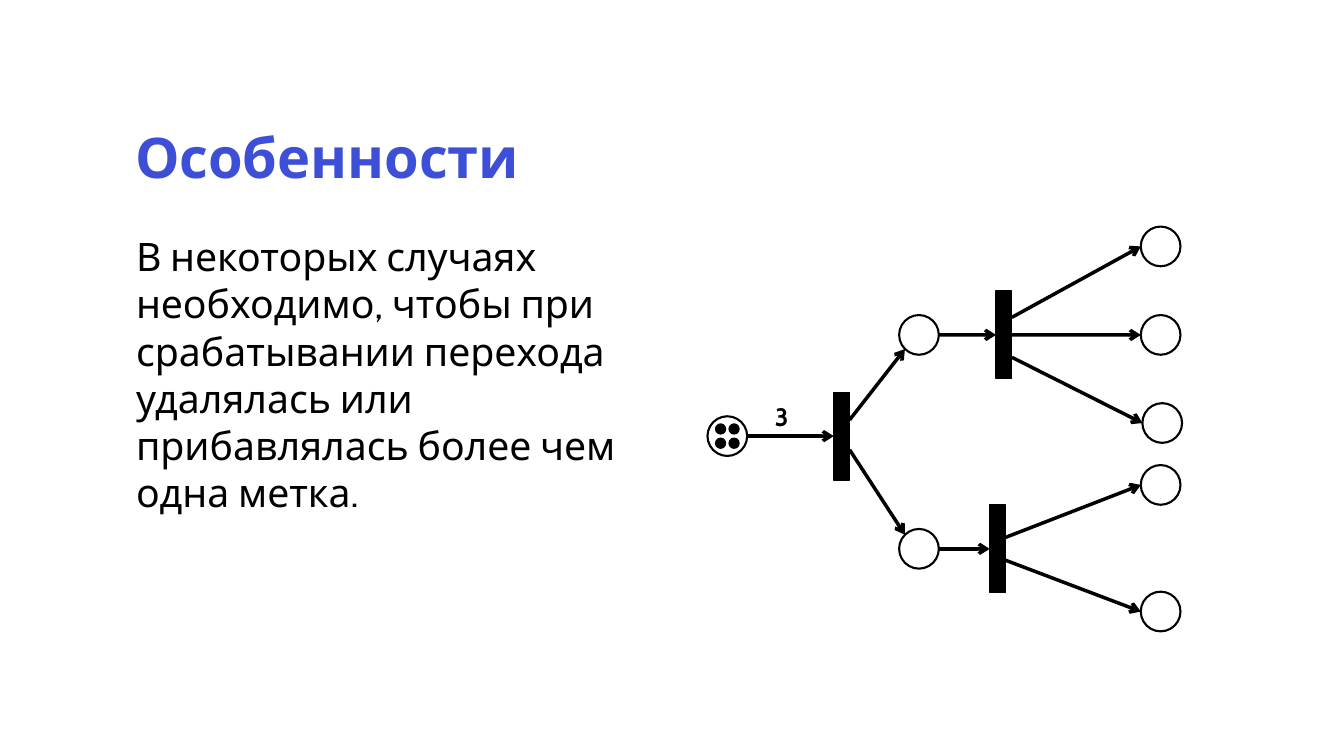
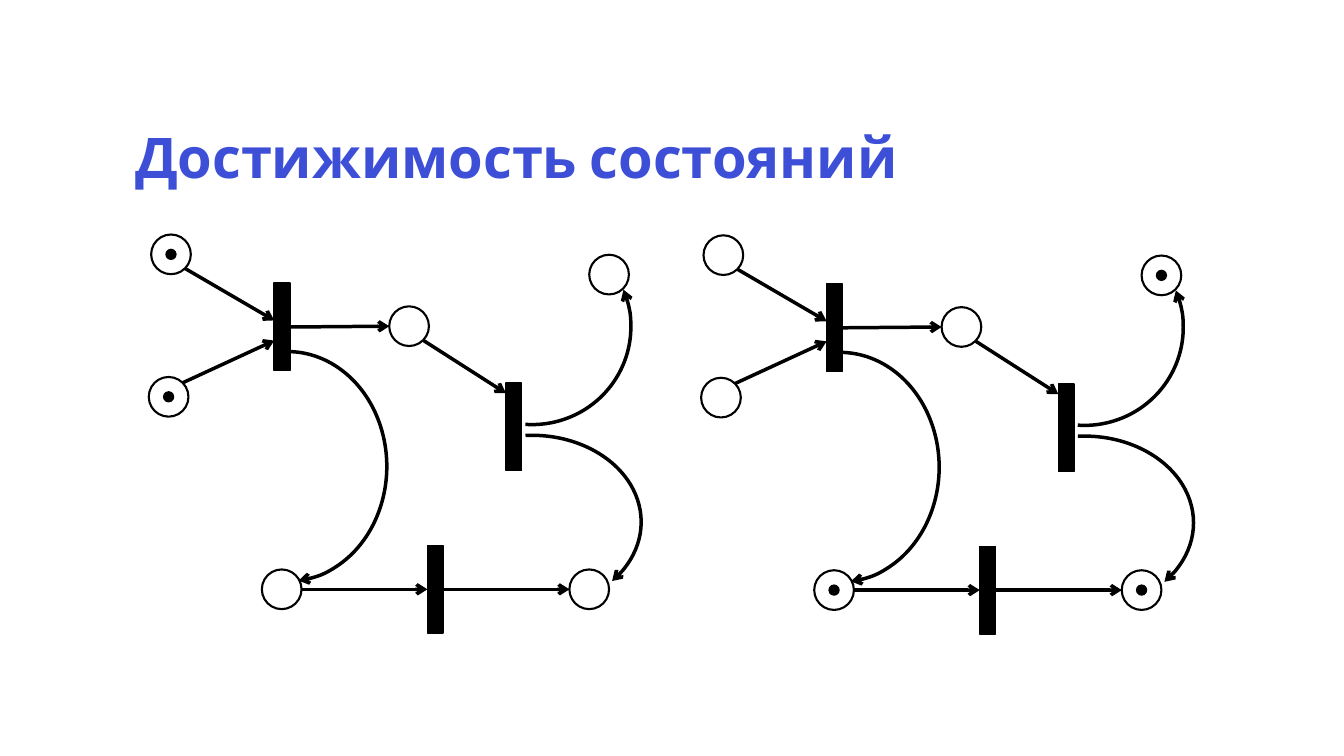
from dataclasses import dataclass

from lxml.etree import SubElement
from pptx import Presentation
from pptx.dml.color import RGBColor
from pptx.enum.shapes import MSO_CONNECTOR, MSO_SHAPE
from pptx.enum.text import MSO_ANCHOR, MSO_AUTO_SIZE, PP_ALIGN
from pptx.oxml.ns import qn
from pptx.util import Cm, Pt

E, W = (1, 0), (-1, 0)
NE, SE, SW, NW = (0.71, -0.71), (0.71, 0.71), (-0.71, 0.71), (-0.71, -0.71)

TREE = {
    "nodes": {
        "root": (18.33, 10.99), "up": (23.16, 8.44), "low": (23.16, 13.83),
        "o1": (29.25, 6.21), "o2": (29.25, 8.44), "o3": (29.29, 10.66),
        "o4": (29.25, 12.22), "o5": (29.25, 15.41),
    },
    "bars": {"a": (21.21, 10.99), "b": (25.3, 8.44), "c": (25.14, 13.83)},
    "links": [
        ("root", E, "a", W), ("a", (1, -0.37), "up", SW), ("a", (1, 0.31), "low", NW),
        ("up", E, "b", W), ("low", E, "c", W),
        ("b", (1, -0.4), "o1", W), ("b", E, "o2", W), ("b", (1, 0.51), "o3", W),
        ("c", (1, -0.26), "o4", W), ("c", (1, 0.26), "o5", W),
    ],
    "arcs": [],
}

NET = {
    "nodes": {
        "top": (4.31, 6.41), "bot": (4.25, 10.0), "mid": (10.31, 8.22),
        "up": (15.35, 6.92), "low": (7.1, 14.85), "end": (14.85, 14.85),
    },
    "bars": {"a": (7.11, 8.24), "b": (12.95, 10.76), "c": (10.97, 14.85)},
    "links": [
        ("top", SE, "a", (-1, -0.15)), ("bot", NE, "a", (-1, 0.31)),
        ("a", E, "mid", W), ("mid", SE, "b", (-1, -0.77)),
        ("low", E, "c", W), ("c", E, "end", W),
    ],
    "arcs": [
        ((4.75, 8.86, 5.0, 5.79), (162, 50.71), "tail"),
        ((10.67, 10.97, 5.49, 4.37), (159.32, 21.87), "tail"),
        ((10.92, 5.77, 4.98, 4.93), (202.75, 56.35), "head"),
    ],
}

ONE = [(0, 0)]
FOUR = [(x, y) for y in (-0.18, 0.18) for x in (-0.17, 0.17)]

SLIDES = [
    {
        "title": "Особенности",
        "notes": [
            ("В некоторых случаях необходимо, чтобы при срабатывании перехода "
             "удалялась или прибавлялась более чем одна метка.",
             (3.18, 5.74, 13.77, 6.25), "body", True),
            ("3", (19.28, 9.98, 0.89, 1.02), "label", False),
        ],
        "nets": [(TREE, (0, 0), {"root": FOUR})],
    },
    {
        "title": "Достижимость состояний",
        "notes": [],
        "nets": [
            (NET, (13.92, 0.02), {"up": ONE, "low": ONE, "end": ONE}),
            (NET, (0, 0), {"top": ONE, "bot": ONE}),
        ],
    },
]


@dataclass(frozen=True)
class Theme:
    face: str = "Cabin"
    blue: RGBColor = RGBColor(0x3D, 0x4E, 0xD7)
    black: RGBColor = RGBColor(0, 0, 0)
    white: RGBColor = RGBColor(255, 255, 255)
    thin: Pt = Pt(1)
    rim: Pt = Pt(1.5)
    bold: Pt = Pt(2.5)
    node: tuple = (1.0, 1.0)
    bar: tuple = (0.4, 2.21)
    dot: tuple = (0.25, 0.25)

    def font(self, kind):
        size, tint, bold = {
            "title": (40, self.blue, True),
            "body": (28, self.black, False),
            "label": (18, self.black, True),
        }[kind]
        return {"name": self.face, "size": Pt(size), "bold": bold}, tint


THEME = Theme()


def put(item, values):
    for key, value in values.items():
        setattr(item, key, value)


def place(shape, box):
    put(shape, dict(zip(("left", "top", "width", "height"), map(Cm, box))))


def write(shape, text, kind, **frame):
    put(shape.text_frame, {"text": text, "auto_size": MSO_AUTO_SIZE.NONE,
                           "vertical_anchor": MSO_ANCHOR.TOP, **frame})
    para = shape.text_frame.paragraphs[0]
    para.alignment = PP_ALIGN.LEFT
    values, tint = THEME.font(kind)
    font = para.runs[0].font
    put(font, values)
    font.color.rgb = tint
    return para


def ink(shape, width, end=None):
    shape.line.width = width
    shape.line.color.rgb = THEME.black
    if end:
        line = shape.element.spPr.find(qn("a:ln"))
        SubElement(line, qn(f"a:{end}End"), type="arrow")


def block(slide, kind, mid, size, fill, width):
    (x, y), (w, h) = mid, size
    box = map(Cm, (x - w / 2, y - h / 2, w, h))
    shape = slide.shapes.add_shape(kind, *box)
    shape.shadow.inherit = False
    shape.fill.solid()
    shape.fill.fore_color.rgb = fill
    ink(shape, width)
    return shape


def join(slide, ends):
    spots = [Cm(mid[i] + port[i] * size[i] / 2)
             for _, mid, size, port in ends for i in (0, 1)]
    line = slide.shapes.add_connector(MSO_CONNECTOR.STRAIGHT, *spots)
    for (shape, _, size, port), glue in zip(ends, (line.begin_connect, line.end_connect)):
        if size == THEME.bar and port in (E, W):
            glue(shape, 3 if port == E else 1)
    ink(line, THEME.bold, "tail")
    SubElement(line.element.spPr, qn("a:effectLst"))


def curve(slide, box, turns, end):
    arc = slide.shapes.add_shape(MSO_SHAPE.ARC, *map(Cm, box))
    for i, turn in enumerate(turns):
        arc.adjustments[i] = turn
    arc.shadow.inherit = False
    arc.fill.background()
    ink(arc, THEME.bold, end)


def draw(slide, net, shift, dots):
    dx, dy = shift
    parts = {}
    looks = (
        ("nodes", MSO_SHAPE.OVAL, THEME.node, THEME.white, THEME.rim),
        ("bars", MSO_SHAPE.RECTANGLE, THEME.bar, THEME.black, THEME.thin),
    )
    for group, kind, size, fill, width in looks:
        for name, (x, y) in net[group].items():
            mid = (x + dx, y + dy)
            parts[name] = block(slide, kind, mid, size, fill, width), mid, size
    for start, out, stop, into in net["links"]:
        join(slide, [(*parts[start], out), (*parts[stop], into)])
    for (x, y, w, h), turns, end in net["arcs"]:
        curve(slide, (x + dx, y + dy, w, h), turns, end)
    for name, spots in dots.items():
        x, y = parts[name][1]
        for px, py in spots:
            block(slide, MSO_SHAPE.OVAL, (x + px, y + py), THEME.dot,
                  THEME.black, THEME.thin)


def main():
    deck = Presentation()
    put(deck, {"slide_width": Cm(33.87), "slide_height": Cm(19.05)})
    for page in SLIDES:
        slide = deck.slides.add_slide(deck.slide_layouts[5])
        title = slide.shapes.title
        place(title, (3.15, 3.15, 27.56, 2.03))
        write(title, page["title"], "title", word_wrap=True).line_spacing = 0.9
        for text, box, kind, wrap in page["notes"]:
            note = slide.shapes.add_textbox(*map(Cm, box))
            write(note, text, kind, word_wrap=wrap)
        for net, shift, dots in page["nets"]:
            draw(slide, net, shift, dots)
    deck.save("out.pptx")


if __name__ == "__main__":
    main()
